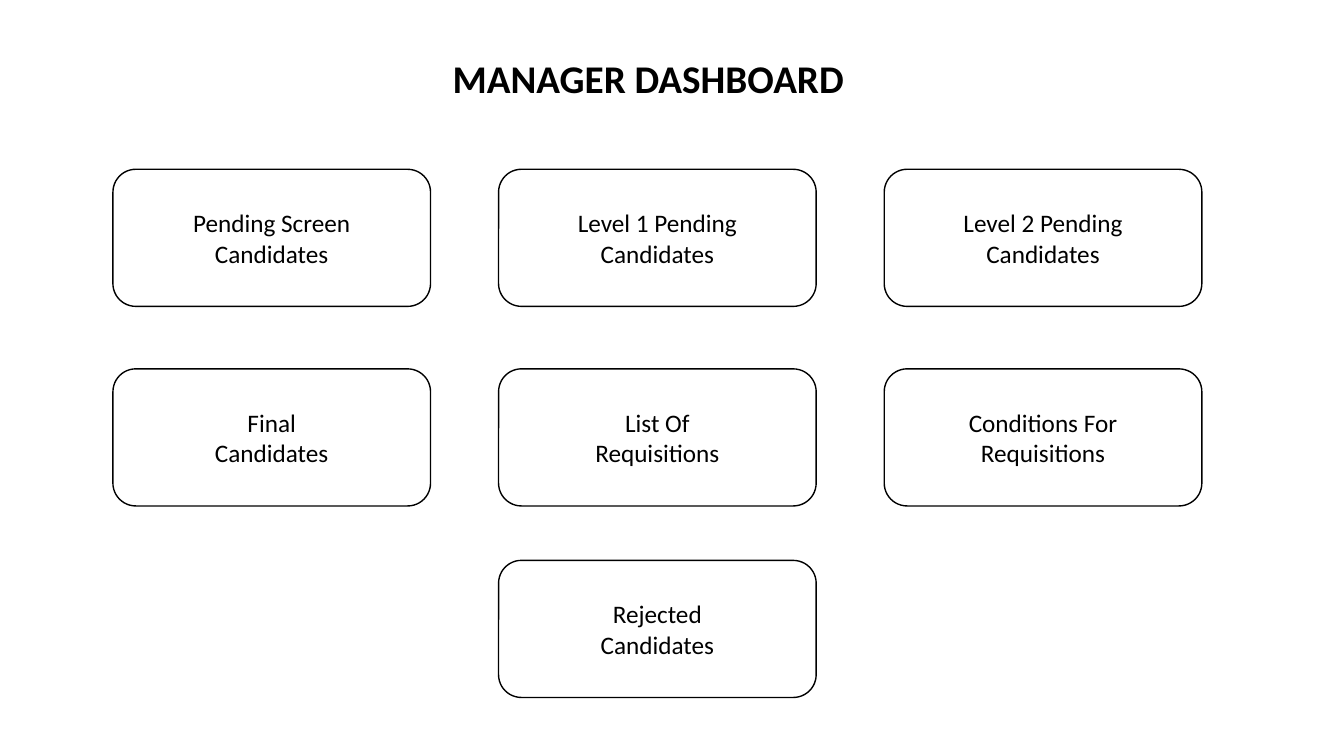
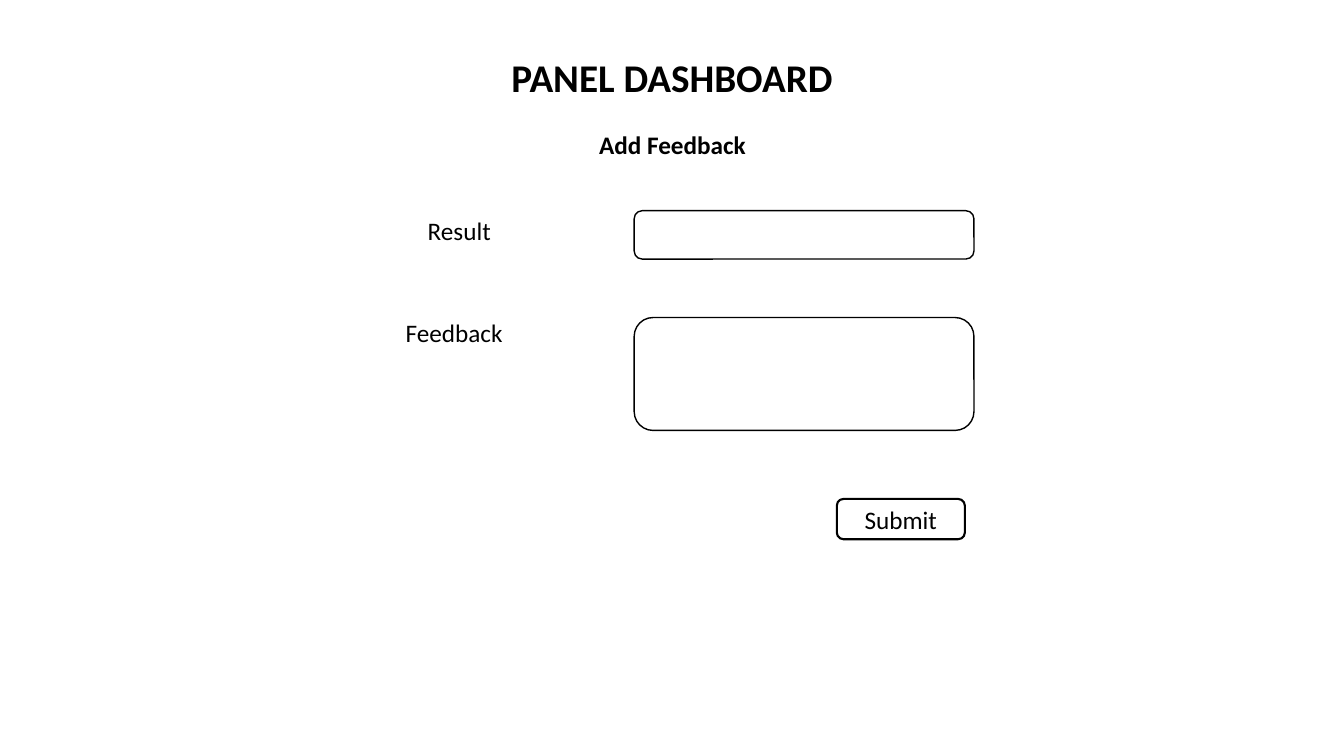
"""Build the manager and panel dashboard wireframes."""
from pptx import Presentation
from pptx.dml.color import RGBColor
from pptx.enum.shapes import MSO_SHAPE
from pptx.enum.text import MSO_ANCHOR, MSO_AUTO_SIZE, PP_ALIGN
from pptx.util import Inches, Pt

INK, PAPER = "000000", "FFFFFF"
TITLE_SIZE, TEXT_SIZE = 28, 18


def write(holder, text, size=TEXT_SIZE, bold=False, align=PP_ALIGN.CENTER, anchor=MSO_ANCHOR.TOP):
    frame = holder.text_frame
    frame_format = {"text": text, "word_wrap": True, "vertical_anchor": anchor,
                    "auto_size": MSO_AUTO_SIZE.NONE}
    for attribute, value in frame_format.items():
        setattr(frame, attribute, value)
    font_format = {"name": "Calibri", "size": Pt(size), "bold": bold}
    for paragraph in frame.paragraphs:
        paragraph.alignment = align
        for run in paragraph.runs:
            for attribute, value in font_format.items():
                setattr(run.font, attribute, value)
            run.font.color.rgb = RGBColor.from_string(INK)


def add_box(slide, place, text="", weight=1):
    box = slide.shapes.add_shape(MSO_SHAPE.ROUNDED_RECTANGLE, *map(Inches, place))
    box.shadow.inherit = False
    box.fill.solid()
    box.fill.fore_color.rgb = RGBColor.from_string(PAPER)
    box.line.color.rgb = RGBColor.from_string(INK)
    box.line.width = Pt(weight)
    write(box, text, anchor=MSO_ANCHOR.MIDDLE)


deck = Presentation()
deck.slide_width, deck.slide_height = Inches(13.33), Inches(7.5)

dashboards = []
for heading, place, align in [
    ("MANAGER DASHBOARD", (4.39, 0.49, 4.43, 0.57), PP_ALIGN.LEFT),
    ("PANEL DASHBOARD", (3.33, 0.48, 6.67, 0.57), PP_ALIGN.CENTER),
]:
    slide = deck.slides.add_slide(deck.slide_layouts[5])
    title = slide.shapes.title
    title.left, title.top, title.width, title.height = map(Inches, place)
    write(title, heading, TITLE_SIZE, True, align)
    dashboards.append(slide)
manager, panel = dashboards

CARD_LEFT, CARD_PITCH, CARD_WIDTH, CARD_HEIGHT = 1.12, 3.825, 3.15, 1.36
card_rows = [
    (1.68, {0: "Pending Screen\nCandidates", 1: "Level 1 Pending\nCandidates",
            2: "Level 2 Pending\nCandidates"}),
    (3.66, {0: "Final\nCandidates", 1: "List Of\nRequisitions",
            2: "Conditions For\nRequisitions"}),
    (5.56, {1: "Rejected\nCandidates"}),
]
for top, cards in card_rows:
    for column, label in cards.items():
        add_box(manager, (CARD_LEFT + column * CARD_PITCH, top, CARD_WIDTH, CARD_HEIGHT), label)

for label, left, top, width, bold in [
    ("Add Feedback", 4.94, 1.23, 3.46, True),
    ("Result", 3, 2.09, 3.11, False),
    ("Feedback", 2.95, 3.1, 3.11, False),
]:
    caption = panel.shapes.add_textbox(*map(Inches, (left, top, width, 0.4)))
    write(caption, label, bold=bold)

FIELD_LEFT, FIELD_WIDTH = 6.29, 3.37
for top, height in [(2.09, 0.48), (3.15, 1.12)]:
    add_box(panel, (FIELD_LEFT, top, FIELD_WIDTH, height))
add_box(panel, (8.3, 4.95, 1.27, 0.4), "Submit", 1.5)

deck.save("out.pptx")
